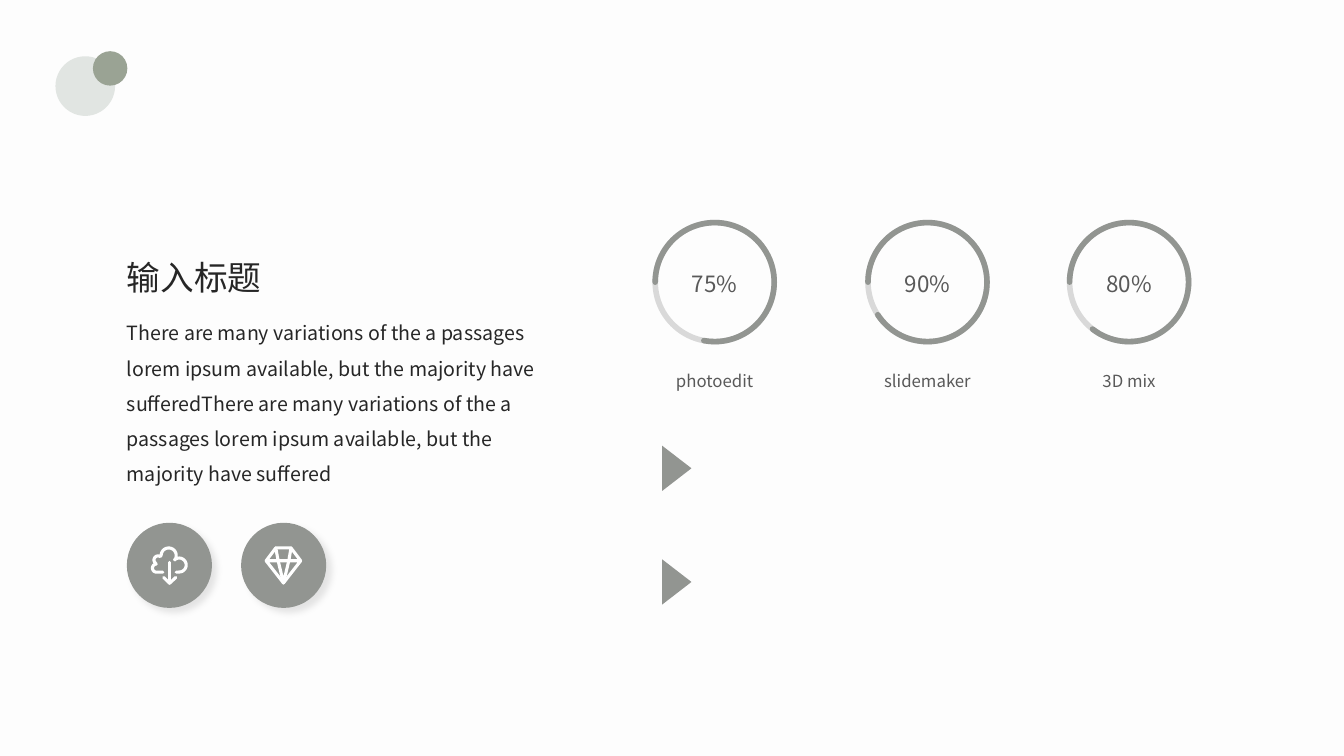
"""Build a skills slide with a text column, icon badges and three progress rings."""
from math import cos, radians, sin

from lxml import etree
from pptx import Presentation
from pptx.dml.color import RGBColor
from pptx.enum.shapes import MSO_SHAPE
from pptx.enum.text import MSO_ANCHOR, MSO_AUTO_SIZE, PP_ALIGN
from pptx.oxml.ns import qn
from pptx.util import Pt

OVAL, ARC, TRIANGLE = MSO_SHAPE.OVAL, MSO_SHAPE.ARC, MSO_SHAPE.ISOSCELES_TRIANGLE
TOP, MIDDLE = MSO_ANCHOR.TOP, MSO_ANCHOR.MIDDLE
LEFT, CENTER = PP_ALIGN.LEFT, PP_ALIGN.CENTER
NO_AUTOFIT = MSO_AUTO_SIZE.NONE

FONT = "Noto Sans CJK SC"
COLORS = {
    "background": "FDFDFD", "pale": "E1E5E2", "sage": "9AA394", "accent": "929591",
    "track": "D9D9D9", "ink": "262626", "muted": "595959", "icon": "FFFFFF", "shadow": "000000",
}

TITLE = "输入标题"
BODY = ("There are many variations of the a passages lorem ipsum available, "
        "but the majority have sufferedThere are many variations of the a "
        "passages lorem ipsum available, but the majority have suffered")

# (label, percentage, ring left, end angle of the arc)
SKILLS = [
    ("photoedit", "75%", 468, 190.5),
    ("slidemaker", "90%", 620, 236.7),
    ("3D mix", "80%", 764, 217.9),
]
RING_TOP, RING_SIZE, RING_START = 159, 85, 270
PERCENT_TOP, LABEL_TOP, LABEL_WIDTH = 189.4, 261.4, 100

DOTS = [(39.6, 40.2, 42.6, "pale"), (66.4, 36.6, 24.6, "sage")]
MARKER_TOPS = [324, 405.2]
MARKER_LEFT, MARKER_WIDTH, MARKER_HEIGHT = 467.2, 32.4, 21

BADGE_LEFTS, BADGE_TOP, BADGE_SIZE = (90.6, 172.2), 373.4, 60.8
ICON_INSET = 16.9
CLOUD_LOBES = [
    (20.5, 13.3, 5, 90, -130), (13, 6.5, 5.4, 35, -180),
    (5.4, 9.7, 2.9, -60, -230), (4.3, 15.5, 2.9, -95, -270),
]
CLOUD_ENDS = (18.4, 18.4), (8.8, 18.4)
ARROW = [[(13.7, 11.5), (13.7, 26.3)], [(9.4, 22.2), (13.7, 26.3), (18, 22.2)]]
DIAMOND = [
    [(1, 10.3), (7.9, 1.1), (18.8, 1.1), (25.7, 10.3), (13.4, 26.1), (1, 10.3), (25.7, 10.3)],
    [(7.9, 1.1), (9.6, 10.3), (13.4, 26.1), (17.2, 10.3), (18.8, 1.1)],
]


def rgb(name):
    return RGBColor.from_string(COLORS[name])


def add_solid(slide, kind, left, top, width, height, color):
    solid = slide.shapes.add_shape(kind, Pt(left), Pt(top), Pt(width), Pt(height))
    solid.shadow.inherit = False
    solid.fill.solid()
    solid.fill.fore_color.rgb = rgb(color)
    solid.line.fill.background()
    return solid


def set_stroke(outline, color, width):
    outline.shadow.inherit = False
    outline.fill.background()
    outline.line.color.rgb = rgb(color)
    outline.line.width = Pt(width)
    outline._element.spPr.find(qn("a:ln")).set("cap", "rnd")


def add_ring(slide, kind, left, color):
    ring = slide.shapes.add_shape(kind, Pt(left), Pt(RING_TOP), Pt(RING_SIZE), Pt(RING_SIZE))
    ring.rotation = 270
    set_stroke(ring, color, 4)
    return ring


def add_badge(slide, left):
    badge = add_solid(slide, OVAL, left, BADGE_TOP, BADGE_SIZE, BADGE_SIZE, "accent")
    effects = badge._element.spPr.find(qn("a:effectLst"))
    shadow = etree.SubElement(effects, qn("a:outerShdw"), blurRad=str(Pt(5)), dist=str(Pt(5)),
                              dir="2700000", algn="tl", rotWithShape="0")
    tint = etree.SubElement(shadow, qn("a:srgbClr"), val=COLORS["shadow"])
    etree.SubElement(tint, qn("a:alpha"), val="10000")


def add_icon(slide, badge_left, strokes):
    def place(point):
        return Pt(badge_left + ICON_INSET + point[0]), Pt(BADGE_TOP + ICON_INSET + point[1])

    builder = slide.shapes.build_freeform(*place(strokes[0][0]))
    for number, stroke in enumerate(strokes):
        first, *rest = map(place, stroke)
        if number:
            builder.move_to(*first)
        builder.add_line_segments(rest, close=False)
    set_stroke(builder.convert_to_shape(), "icon", 2.2)


def cloud_outline():
    steps = 16
    curve = [
        (x + r * cos(radians(a + (b - a) * i / steps)), y + r * sin(radians(a + (b - a) * i / steps)))
        for x, y, r, a, b in CLOUD_LOBES for i in range(steps + 1)
    ]
    return [CLOUD_ENDS[0], *curve, CLOUD_ENDS[1]]


def write(holder, text, size, color, align):
    frame = holder.text_frame
    frame.text = text
    paragraph = frame.paragraphs[0]
    paragraph.alignment = align
    font = paragraph.font
    font.name, font.size, font.bold = FONT, Pt(size), False
    font.color.rgb = rgb(color)
    defaults = paragraph._p.pPr.find(qn("a:defRPr"))
    etree.SubElement(defaults, qn("a:ea"), typeface=FONT)
    return paragraph


def fill_placeholder(holder, box, text, size, anchor):
    holder.left, holder.top, holder.width, holder.height = map(Pt, box)
    frame = holder.text_frame
    frame.margin_left = frame.margin_right = frame.margin_top = frame.margin_bottom = 0
    frame.word_wrap = True
    frame.auto_size = NO_AUTOFIT
    frame.vertical_anchor = anchor
    paragraph = write(holder, text, size, "ink", LEFT)
    paragraph.line_spacing = 1.5
    paragraph.space_before = Pt(0)


def add_caption(slide, center, top, height, text, size):
    caption = slide.shapes.add_textbox(Pt(center - LABEL_WIDTH / 2), Pt(top), Pt(LABEL_WIDTH), Pt(height))
    caption.text_frame.word_wrap = True
    write(caption, text, size, "muted", CENTER)


def main():
    deck = Presentation()
    deck.slide_width, deck.slide_height = Pt(960), Pt(540)
    slide = deck.slides.add_slide(deck.slide_layouts.get_by_name("Section Header"))
    slide.background.fill.solid()
    slide.background.fill.fore_color.rgb = rgb("background")
    for extra in list(slide.placeholders)[2:]:
        extra._element.getparent().remove(extra._element)

    for left, top, size, color in DOTS:
        add_solid(slide, OVAL, left, top, size, size, color)

    fill_placeholder(slide.shapes.title, (90.6, 171.4, 200, 38.2), TITLE, 24, MIDDLE)
    fill_placeholder(slide.placeholders[1], (90.6, 221, 307.4, 149.8), BODY, 14, TOP)

    for left, strokes in zip(BADGE_LEFTS, ([cloud_outline(), *ARROW], DIAMOND)):
        add_badge(slide, left)
        add_icon(slide, left, strokes)

    for label, percent, left, end_angle in SKILLS:
        add_ring(slide, OVAL, left, "track")
        progress = add_ring(slide, ARC, left, "accent")
        for i, angle in enumerate((RING_START, end_angle)):
            progress.adjustments[i] = angle * 0.6
        center = left + RING_SIZE / 2
        add_caption(slide, center, LABEL_TOP, 21.6, label, 12)
        add_caption(slide, center, PERCENT_TOP, 26.6, percent, 16)

    for top in MARKER_TOPS:
        marker = add_solid(slide, TRIANGLE, MARKER_LEFT, top, MARKER_WIDTH, MARKER_HEIGHT, "accent")
        marker.rotation = 90

    deck.save("out.pptx")


if __name__ == "__main__":
    main()
